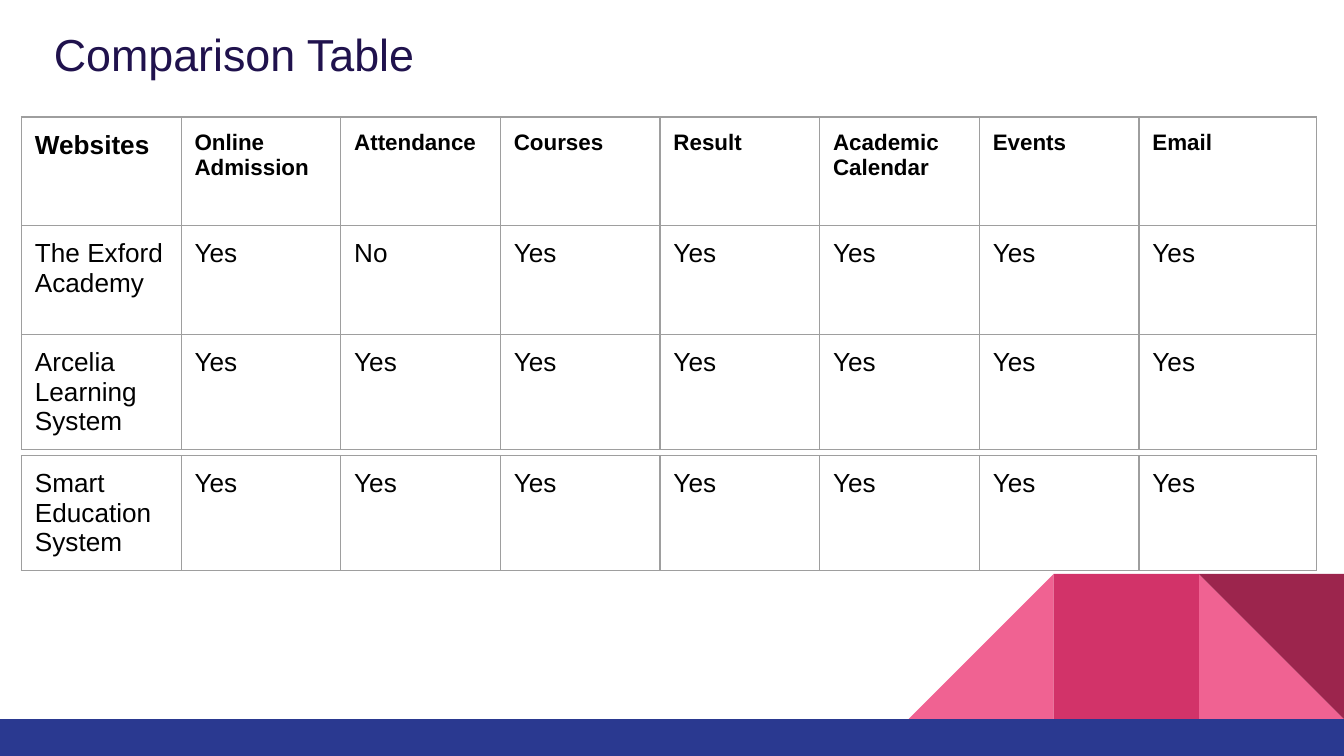
from lxml import etree
from pptx import Presentation
from pptx.dml.color import RGBColor
from pptx.enum.shapes import MSO_SHAPE
from pptx.enum.text import MSO_ANCHOR, PP_ALIGN
from pptx.oxml.ns import qn
from pptx.util import Inches, Pt

RECT, TRIANGLE = MSO_SHAPE.RECTANGLE, MSO_SHAPE.RIGHT_TRIANGLE
TOP, LEFT = MSO_ANCHOR.TOP, PP_ALIGN.LEFT
UNIT = Inches(0.1)
COLS, ROWS = 100, 56.25
TITLE_ONLY = 5

PINK, MAGENTA, WINE, BLUE = "F06292", "D23369", "9C254D", "2A3990"
INK, NAVY, GREY = "000000", "20124D", "9E9E9E"

HEADERS = ["Websites", "Online Admission", "Attendance", "Courses",
           "Result", "Academic Calendar", "Events", "Email"]
ACADEMIES = [["The Exford Academy", "Yes", "No"] + ["Yes"] * 5,
             ["Arcelia Learning System"] + ["Yes"] * 7]
OWN_SYSTEM = [["Smart Education\nSystem"] + ["Yes"] * 7]
COLUMN_WIDTHS = [11.88] * 7 + [13.2]


def rgb(value):
    """Turn a hex string into a colour."""
    return RGBColor.from_string(value)


def write(tf, text, size=14, color=INK, bold=False, font="Arial"):
    """Fill a text frame with one formatted paragraph per line of text."""
    for i, line in enumerate(text.split("\n")):
        p = tf.add_paragraph() if i else tf.paragraphs[0]
        p.alignment = LEFT
        r = p.add_run()
        r.text = line
        r.font.size, r.font.bold, r.font.name = Pt(size), bold, font
        r.font.color.rgb = rgb(color)


def grid(*lengths):
    """Convert grid units to slide lengths."""
    return [round(n * UNIT) for n in lengths]


class Deck:
    """Hold the style and the current slide."""

    def __init__(self):
        """Start a presentation with one title-only slide."""
        self.prs = Presentation()
        self.prs.slide_width, self.prs.slide_height = grid(COLS, ROWS)
        self.s = self.prs.slides.add_slide(self.prs.slide_layouts[TITLE_ONLY])
        self.inset = grid(1)[0]

    def pad(self, target):
        """Give a cell or text frame equal insets and top anchoring."""
        target.margin_left = target.margin_right = self.inset
        target.margin_top = target.margin_bottom = self.inset
        target.vertical_anchor = TOP

    def title(self, text, x, y, w, h):
        """Place and write the title placeholder."""
        sp = self.s.shapes.title
        sp.left, sp.top, sp.width, sp.height = grid(x, y, w, h)
        self.pad(sp.text_frame)
        write(sp.text_frame, text, size=24, color=NAVY)

    def shape(self, kind, x, y, w, h, fill, rotation=0):
        """Add a flat preset shape."""
        sp = self.s.shapes.add_shape(kind, *grid(x, y, w, h))
        sp.fill.solid()
        sp.fill.fore_color.rgb = rgb(fill)
        sp.line.fill.background()
        sp.shadow.inherit = False
        sp.rotation = rotation

    def border(self, cell):
        """Draw a thin line on all four sides of a cell."""
        tc_pr = cell._tc.get_or_add_tcPr()
        for side in ("a:lnL", "a:lnR", "a:lnT", "a:lnB"):
            ln = etree.SubElement(tc_pr, qn(side), w=str(Pt(0.75)))
            fill = etree.SubElement(ln, qn("a:solidFill"))
            etree.SubElement(fill, qn("a:srgbClr"), val=GREY)

    def table(self, rows, x, y, row_height, header=False):
        """Add a bordered table, with an optional bold header row."""
        frame = self.s.shapes.add_table(
            len(rows), len(COLUMN_WIDTHS),
            *grid(x, y, sum(COLUMN_WIDTHS), row_height * len(rows)))
        table = frame.table
        table.first_row = table.horz_banding = False
        for column, width in zip(table.columns, grid(*COLUMN_WIDTHS)):
            column.width = width
        for i, values in enumerate(rows):
            for j, text in enumerate(values):
                cell = table.cell(i, j)
                bold = header and i == 0
                self.pad(cell)
                self.border(cell)
                cell.fill.background()
                write(cell.text_frame, text, bold=bold,
                      size=12 if bold and j else 14)


def main():
    """Build the comparison slide."""
    deck = Deck()
    floor, side = 53.5, 10.8
    top, right = floor - side, COLS - side
    for kind, x, fill, rotation in [
            (TRIANGLE, right, PINK, 0),
            (TRIANGLE, right - 2 * side, PINK, 270),
            (RECT, right - side, MAGENTA, 0),
            (TRIANGLE, right, WINE, 180)]:
        deck.shape(kind, x, top, side, side, fill, rotation)
    deck.shape(RECT, 0, floor, COLS, ROWS - floor, BLUE)
    deck.table([HEADERS] + ACADEMIES, 1.6, 8.7, 8.1, header=True)
    deck.table(OWN_SYSTEM, 1.6, 33.9, 8.4)
    deck.title("Comparison Table", 3, 1, 38.9, 5.7)
    deck.prs.save("out.pptx")


if __name__ == "__main__":
    main()
